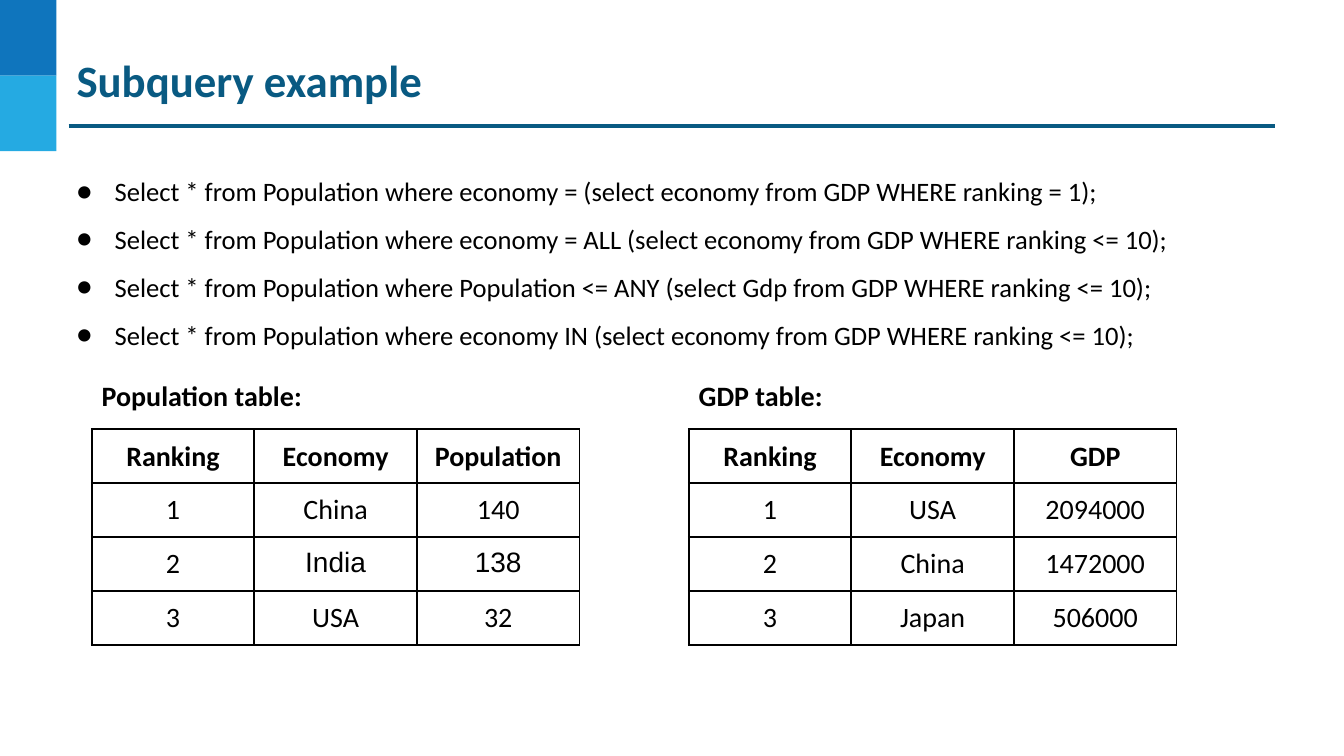
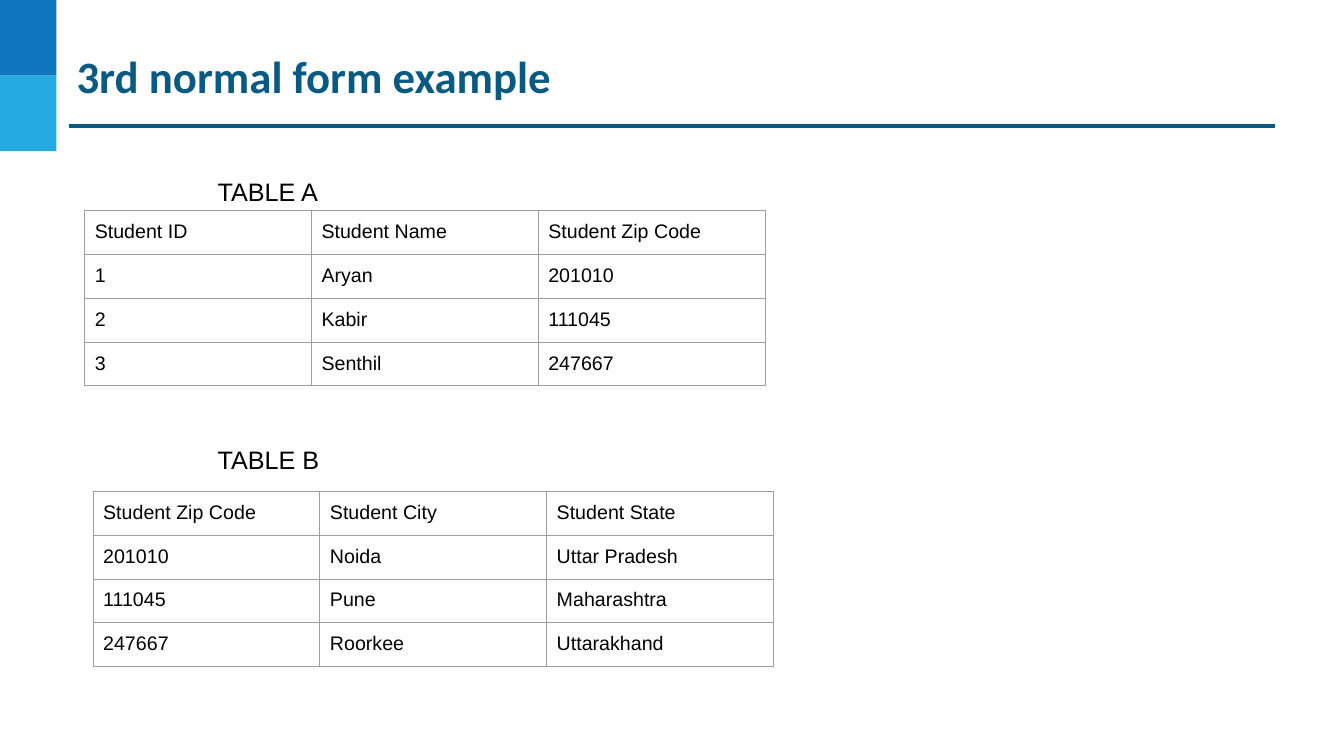
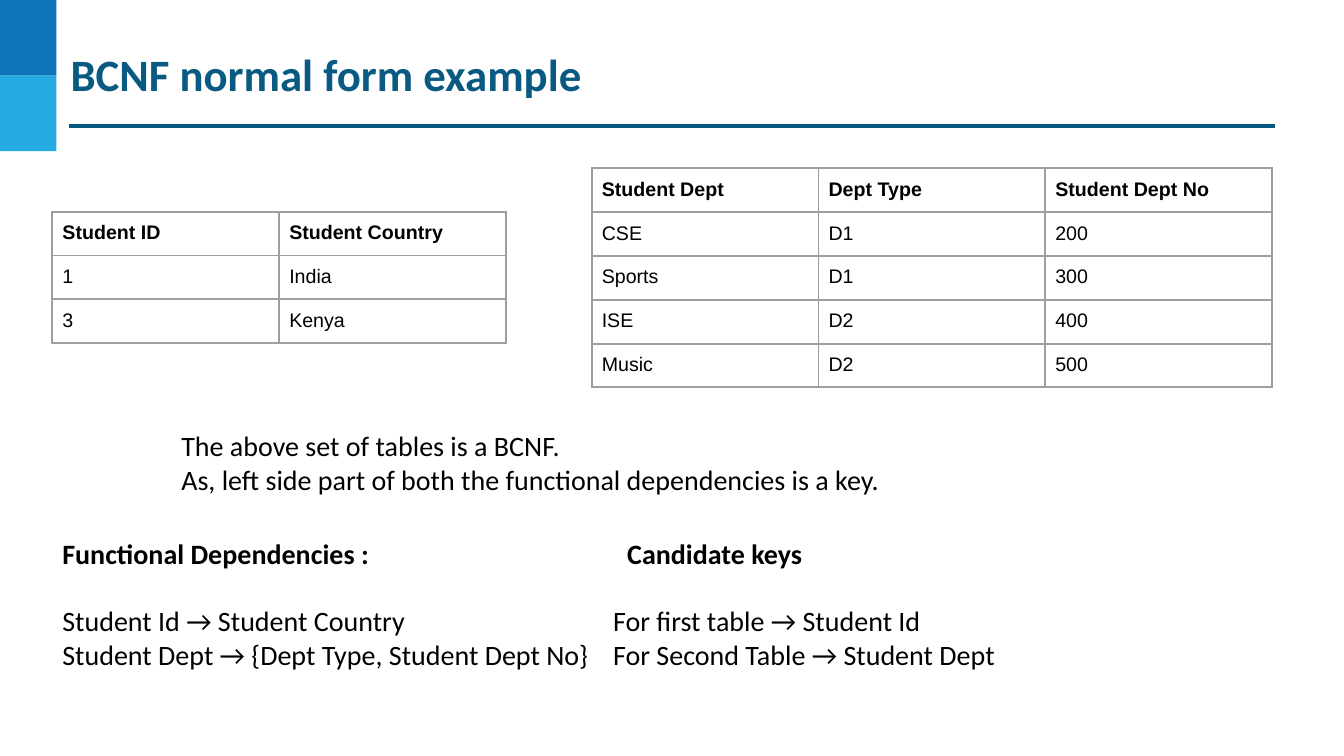
from lxml import etree
from pptx import Presentation
from pptx.dml.color import RGBColor
from pptx.enum.shapes import MSO_CONNECTOR, MSO_SHAPE
from pptx.enum.text import MSO_ANCHOR, PP_ALIGN
from pptx.oxml.ns import qn
from pptx.util import Inches, Pt

RECT = MSO_SHAPE.RECTANGLE
STRAIGHT = MSO_CONNECTOR.STRAIGHT
MIDDLE, TOP = MSO_ANCHOR.MIDDLE, MSO_ANCHOR.TOP
LEFT, CENTER = PP_ALIGN.LEFT, PP_ALIGN.CENTER

BLACK = RGBColor(0x00, 0x00, 0x00)
WHITE = RGBColor(0xFF, 0xFF, 0xFF)
GREY = RGBColor(0x9E, 0x9E, 0x9E)
TEAL = RGBColor(0x09, 0x5A, 0x82)
BLUE = RGBColor(0x0F, 0x75, 0xBD)
SKY = RGBColor(0x25, 0xAA, 0xE2)

CALIBRI, ARIAL = "Calibri", "Arial"
COLS, ROWS = 40, 30  # grid over the whole slide


class Deck:
    def __init__(self):
        self.prs = Presentation()
        self.prs.slide_width = Inches(13.33)
        self.prs.slide_height = Inches(7.5)
        self.slide = None

    # Grid lengths
    def x(self, cols):
        return round(self.prs.slide_width * cols / COLS)

    def y(self, rows):
        return round(self.prs.slide_height * rows / ROWS)

    def box(self, col, row, width, height):
        return self.x(col), self.y(row), self.x(width), self.y(height)

    # Shared frame: side bands, rule and title
    def new_slide(self, title, col, row):
        self.slide = self.prs.slides.add_slide(self.prs.slide_layouts[6])
        for i, color in enumerate((BLUE, SKY)):
            self.rect(0, 3 * i, 1.68, 3, color)
        rule = self.slide.shapes.add_connector(
            STRAIGHT, self.x(2.04), self.y(5), self.x(37.96), self.y(5))
        rule.line.color.rgb = TEAL
        rule.line.width = Pt(2.25)
        etree.SubElement(rule._element.spPr, qn("a:effectLst"))
        self.text([title], col, row, 35.9, 2.32, size=32, color=TEAL,
                  bold=True, inset=0.02)

    def rect(self, col, row, width, height, color):
        sp = self.slide.shapes.add_shape(RECT, *self.box(col, row, width, height))
        sp.shadow.inherit = False
        sp.fill.solid()
        sp.fill.fore_color.rgb = color
        sp.line.fill.background()
        return sp

    def run(self, p, text, size, font=CALIBRI, color=BLACK, bold=False):
        r = p.add_run()
        r.text = text
        r.font.name = font
        r.font.size = Pt(size)
        r.font.color.rgb = color
        r.font.bold = bold

    def frame(self, tf, inset=0.1, anchor=TOP):
        tf.word_wrap = True
        tf.vertical_anchor = anchor
        tf.margin_left = tf.margin_right = Inches(inset)
        tf.margin_top = tf.margin_bottom = Inches(inset)

    def text(self, lines, col, row, width, height, size=20, font=CALIBRI,
             color=BLACK, bold=False, inset=0.1):
        sp = self.slide.shapes.add_textbox(*self.box(col, row, width, height))
        tf = sp.text_frame
        self.frame(tf, inset)
        for i, line in enumerate(lines):
            p = tf.add_paragraph() if i else tf.paragraphs[0]
            self.run(p, line, size, font, color, bold)
        return tf

    def bullets(self, lines, col, row, width, height, size):
        tf = self.text(lines, col, row, width, height, size)
        for p in tf.paragraphs:
            p.line_spacing = 1.5
            pPr = p._p.get_or_add_pPr()
            pPr.set("marL", str(Inches(0.5)))
            pPr.set("indent", str(-Inches(0.38)))
            etree.SubElement(pPr, qn("a:buFont"), typeface=CALIBRI)
            etree.SubElement(pPr, qn("a:buChar"), char="●")

    def label(self, text, col, row, width, height):
        sp = self.rect(col, row, width, height, WHITE)
        self.frame(sp.text_frame, anchor=MIDDLE)
        p = sp.text_frame.paragraphs[0]
        p.alignment = LEFT
        self.run(p, text, 20, bold=True)

    # A heading set apart from the lines below it
    def section(self, heading, lines, col, row, width, height, indent=0):
        tf = self.text([heading] + lines, col, row, width, height)
        p = tf.paragraphs[0]
        p.space_after = Pt(24)
        p.runs[0].font.bold = True
        p._p.get_or_add_pPr().set("marL", str(Inches(indent)))

    def borders(self, cell, color, width):
        tcPr = cell._tc.get_or_add_tcPr()
        for side in ("a:lnL", "a:lnR", "a:lnT", "a:lnB"):
            ln = etree.SubElement(tcPr, qn(side), w=str(Pt(width)))
            fill = etree.SubElement(ln, qn("a:solidFill"))
            etree.SubElement(fill, qn("a:srgbClr"), val=str(color))

    def table(self, data, col, row, col_width, row_height, size=14, font=ARIAL,
              align=LEFT, header_bold=True, line=GREY, line_width=1.5,
              other_fonts=None):
        n_rows, n_cols = len(data), len(data[0])
        tbl = self.slide.shapes.add_table(n_rows, n_cols, *self.box(
            col, row, col_width * n_cols, row_height * n_rows)).table
        tbl.first_row = tbl.horz_banding = False
        for i, values in enumerate(data):
            for j, value in enumerate(values):
                cell = tbl.cell(i, j)
                cell.margin_left = cell.margin_right = Inches(0.1)
                cell.margin_top = cell.margin_bottom = Inches(0.1)
                self.borders(cell, line, line_width)
                cell.fill.background()
                p = cell.text_frame.paragraphs[0]
                p.alignment = align
                cell_font = (other_fonts or {}).get((i, j), font)
                self.run(p, value, size, cell_font, bold=header_bold and i == 0)


def subquery_slide(deck):
    deck.new_slide("Subquery example", 2.22, 2)
    deck.bullets([
        "Select * from Population where economy = (select economy from GDP WHERE ranking = 1);",
        "Select * from Population where economy = ALL (select economy from GDP WHERE ranking <= 10);",
        "Select * from Population where Population <= ANY (select Gdp from GDP WHERE ranking <= 10);",
        "Select * from Population where economy IN (select economy from GDP WHERE ranking <= 10);",
    ], 1.62, 5.92, 35.74, 7.84, 19)

    population = [("Ranking", "Economy", "Population"), ("1", "China", "140"),
                  ("2", "India", "138"), ("3", "USA", "32")]
    gdp = [("Ranking", "Economy", "GDP"), ("1", "USA", "2094000"),
           ("2", "China", "1472000"), ("3", "Japan", "506000")]
    india_fonts = {(2, 1): ARIAL, (2, 2): ARIAL}
    for name, data, col, fonts in (("Population table:", population, 2.73, india_fonts),
                                   ("GDP table:", gdp, 20.5, None)):
        deck.table(data, col, 17.04, 4.84, 2.13, size=20, font=CALIBRI,
                   align=CENTER, line=BLACK, other_fonts=fonts)
        deck.label(name, col, 15, 8, 1.36)


def third_form_slide(deck):
    deck.new_slide("3rd normal form example", 2.22, 1.84)
    students = [("Student ID", "Student Name", "Student Zip Code"),
                ("1", "Aryan", "201010"), ("2", "Kabir", "111045"),
                ("3", "Senthil", "247667")]
    cities = [("Student Zip Code", "Student City", "Student State"),
              ("201010", "Noida", "Uttar Pradesh"),
              ("111045", "Pune", "Maharashtra"),
              ("247667", "Roorkee", "Uttarakhand")]
    for name, name_row, data, col, row in (("TABLE A", 6.6, students, 2.52, 8.36),
                                           ("TABLE B", 17.24, cities, 2.77, 19.5)):
        deck.table(data, col, row, 6.75, 1.74, header_bold=False, line_width=0.75)
        deck.text([name], 6.18, name_row, 10, 2, size=18, font=ARIAL)


def bcnf_slide(deck):
    deck.new_slide("BCNF normal form example", 2.04, 1.76)
    countries = [("Student ID", "Student Country"), ("1", "India"), ("3", "Kenya")]
    departments = [("Student Dept", "Dept Type", "Student Dept No"),
                   ("CSE", "D1", "200"), ("Sports", "D1", "300"),
                   ("ISE", "D2", "400"), ("Music", "D2", "500")]
    deck.table(countries, 1.56, 8.4, 6.75, 1.74)
    deck.table(departments, 17.61, 6.68, 6.75, 1.74)
    deck.text(["The above set of tables is a BCNF.",
               "As, left side part of both the functional dependencies is a key."],
              5.1, 16.6, 33, 3.52)
    deck.section("Functional Dependencies :",
                 ["Student Id → Student Country",
                  "Student Dept → {Dept Type, Student Dept No}"],
                 1.56, 20.88, 16.5, 6.2)
    deck.section("Candidate keys",
                 ["For first table → Student Id",
                  "For Second Table → Student Dept"],
                 17.95, 20.88, 16.5, 6.2, indent=0.14)


def main():
    deck = Deck()
    subquery_slide(deck)
    third_form_slide(deck)
    bcnf_slide(deck)
    deck.prs.save("out.pptx")


if __name__ == "__main__":
    main()
